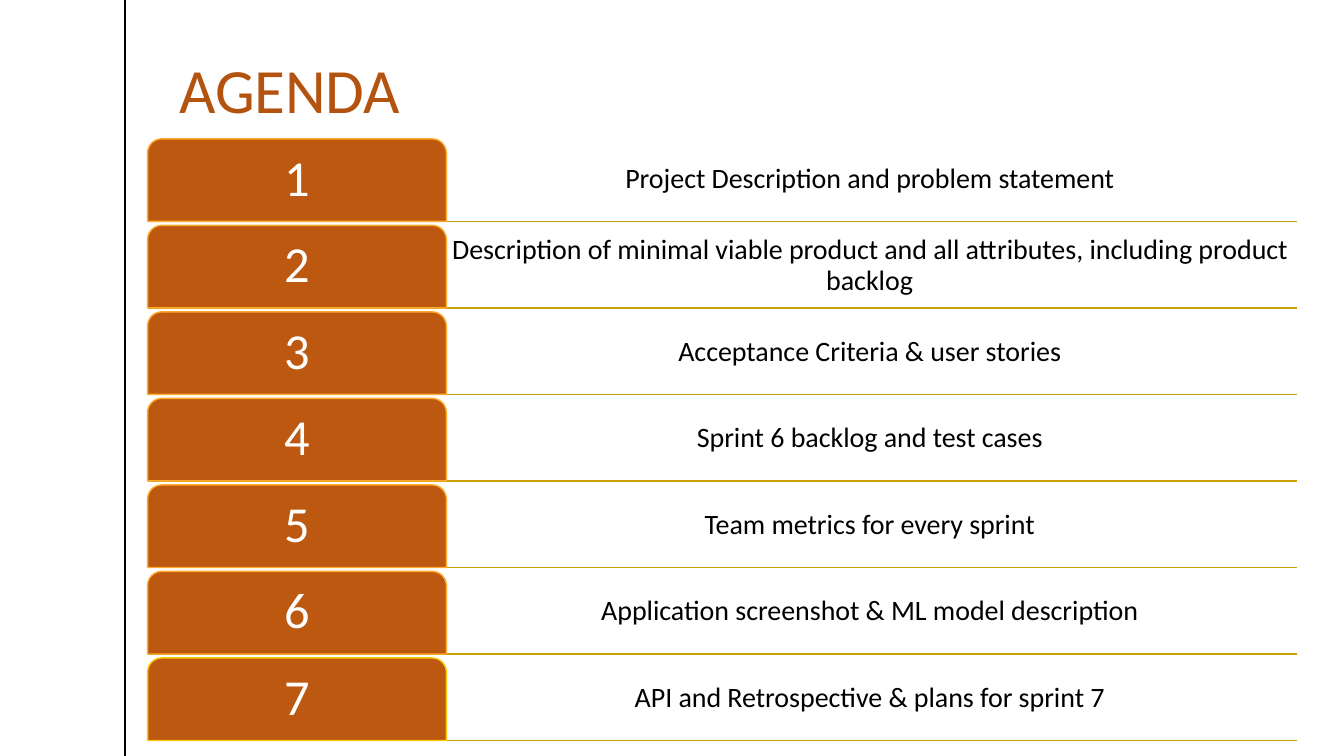
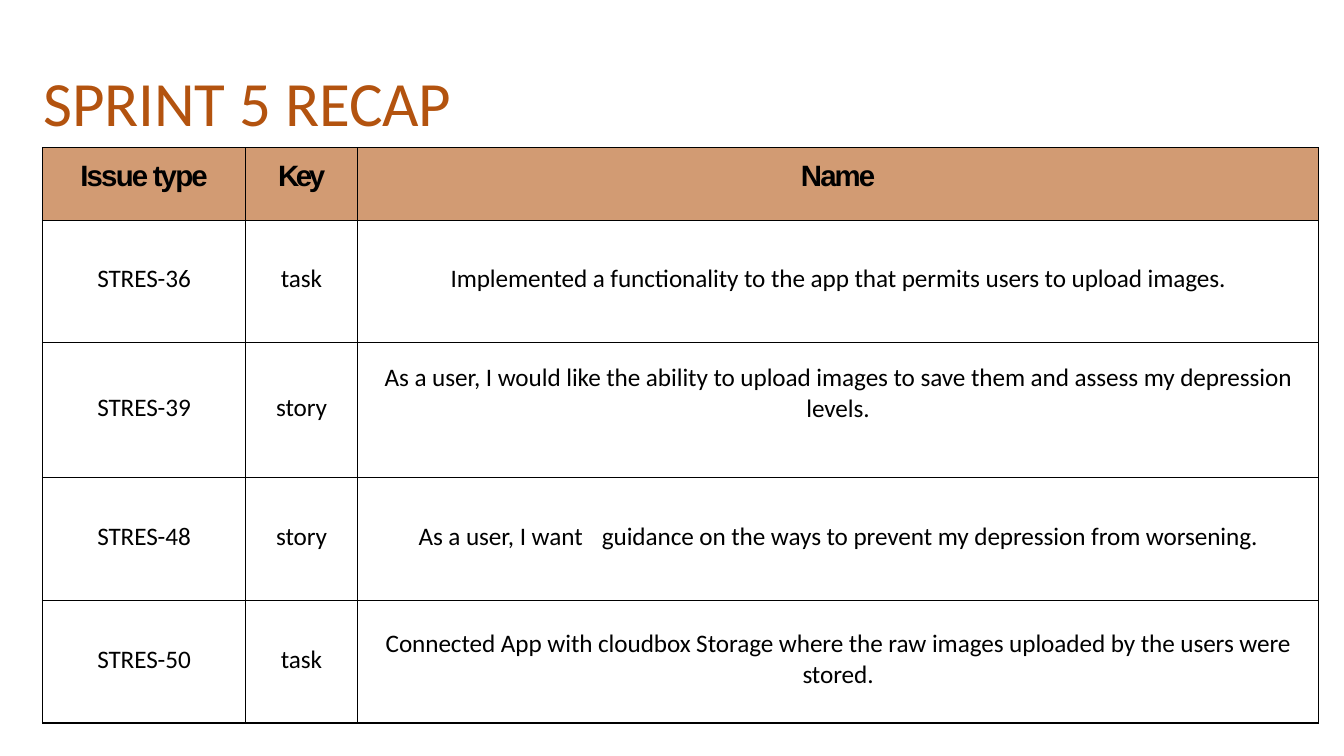
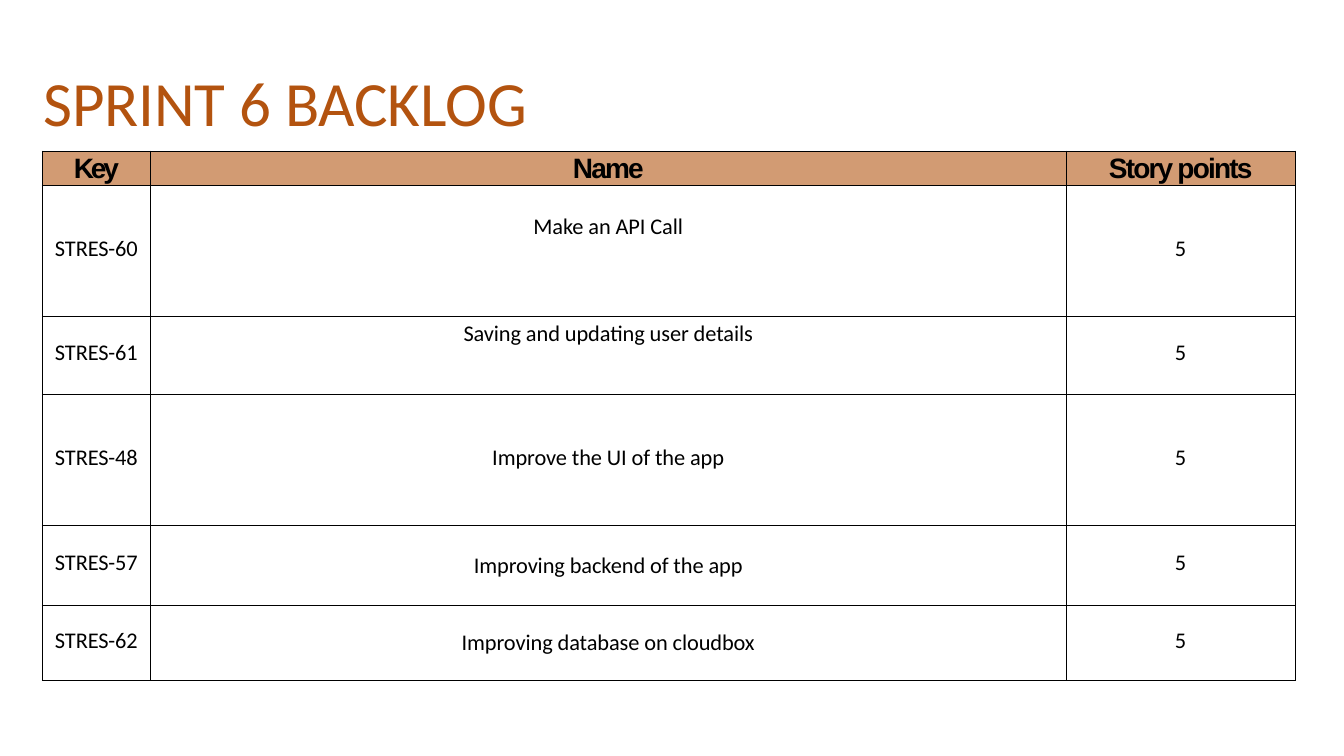
import lxml.etree
import pptx
import pptx.dml.color
import pptx.enum.shapes
import pptx.enum.text
import pptx.oxml.ns
import pptx.util

Cm = pptx.util.Cm
Pt = pptx.util.Pt
qn = pptx.oxml.ns.qn
ALIGN = pptx.enum.text.PP_ALIGN
ANCHOR = pptx.enum.text.MSO_ANCHOR

SLIDE_WIDTH, SLIDE_HEIGHT = 33.87, 19.05
BLACK, WHITE = "000000", "FFFFFF"
TITLE_COLOR = "B3530F"
TAB_FILL, TAB_LINE, LAST_TAB_LINE = "BD5810", "FFAA2D", "FFC907"
RULE_COLOR = "CAA005"
HEADER_FILL = "D29B73"

AGENDA = [
    "Project Description and problem statement",
    "Description of minimal viable product and all attributes, including product backlog",
    "Acceptance Criteria & user stories",
    "Sprint 6 backlog and test cases",
    "Team metrics for every sprint",
    "Application screenshot & ML model description",
    "API and Retrospective & plans for sprint 7",
]

RECAP = {
    "columns": [("Issue type", 5.12, -1.3), ("Key", 2.82, -2.4), ("Name", 24.22, -1.4)],
    "heights": [1.83, 3.09, 3.4, 3.09, 3.09],
    "rows": [
        ("STRES-36", "task", "Implemented a functionality to the app that permits users to upload images."),
        ("STRES-39", "story", "As a user, I would like the ability to upload images to save them "
                              "and assess my depression levels."),
        ("STRES-48", "story", "As a user, I want\tguidance on the ways to prevent my depression from worsening."),
        ("STRES-50", "task", "Connected App with cloudbox Storage where the raw images uploaded "
                             "by the users were stored."),
    ],
    "raised": {(0, 0): 0.4, (0, 1): 0.4, (0, 2): 0.4, (2, 2): 0.86},
    "header_size": 21,
    "body_size": 18,
}

BACKLOG = {
    "columns": [("Key", 2.72, -2.3), ("Name", 23.08, -1.3), ("Story points", 5.77, -1.3)],
    "heights": [0.86, 3.3, 1.98, 3.3, 2, 1.9],
    "rows": [
        ("STRES-60", "Make an API Call", "5"),
        ("STRES-61", "Saving and updating user details", "5"),
        ("STRES-48", "Improve the UI of the app", "5"),
        ("STRES-57", "Improving backend of the app", "5"),
        ("STRES-62", "Improving database on cloudbox", "5"),
    ],
    "raised": {(0, 0): 0, (0, 1): 0, (0, 2): 0, (1, 1): 1.2, (2, 1): 1.1, (4, 1): 0, (5, 1): 0},
    "header_size": 20,
    "body_size": 16,
}


def rgb(color):
    """Turn a hex string into a colour."""
    return pptx.dml.color.RGBColor.from_string(color)


def format_text(text_frame, size, color, align=ALIGN.CENTER, font="Calibri", bold=False, spacing=-0.1):
    """Format every paragraph and run of a text frame alike."""
    for paragraph in text_frame.paragraphs:
        paragraph.alignment = align
        for run in paragraph.runs:
            run.font.name = font
            run.font.size = Pt(size)
            run.font.bold = bold
            run.font.color.rgb = rgb(color)
            run._r.get_or_add_rPr().set("spc", str(round(spacing * 100)))


def set_frame(text_frame, anchor=ANCHOR.MIDDLE, bottom=0):
    """Wrap a text frame and clear its insets but the bottom one."""
    text_frame.word_wrap = True
    text_frame.vertical_anchor = anchor
    text_frame.margin_left = text_frame.margin_right = text_frame.margin_top = 0
    text_frame.margin_bottom = Cm(bottom)


def add_margin_line(slide, left):
    """Draw a vertical line over the full slide height."""
    connector = slide.shapes.add_connector(
        pptx.enum.shapes.MSO_CONNECTOR.STRAIGHT, Cm(left), 0, Cm(left), Cm(SLIDE_HEIGHT))
    connector.line.color.rgb = rgb(BLACK)
    connector.line.width = Pt(1)
    lxml.etree.SubElement(connector._element.spPr, qn("a:effectLst"))


def add_titled_slide(presentation, title, left=1.09, top=1.59):
    """Add a slide with the shared title style."""
    slide = presentation.slides.add_slide(presentation.slide_layouts[5])
    shape = slide.shapes.title
    shape.left, shape.top, shape.width, shape.height = Cm(left), Cm(top), Cm(20), Cm(1.98)
    shape.text_frame.text = title
    shape.text_frame.auto_size = pptx.enum.text.MSO_AUTO_SIZE.NONE
    set_frame(shape.text_frame, ANCHOR.TOP)
    format_text(shape.text_frame, 45, TITLE_COLOR, ALIGN.LEFT)
    return slide


def add_rules(slide, left, top, width, pitch, count):
    """Draw equally spaced horizontal rules as one outline."""
    right = Cm(left + width)
    builder = slide.shapes.build_freeform(Cm(left), Cm(top))
    builder.add_line_segments([(right, Cm(top))], close=False)
    for index in range(1, count):
        level = Cm(top + index * pitch)
        builder.move_to(Cm(left), level)
        builder.add_line_segments([(right, level)], close=False)
    rules = builder.convert_to_shape()
    rules.shadow.inherit = False
    rules.fill.background()
    rules.line.color.rgb = rgb(RULE_COLOR)
    rules.line.width = Pt(1)


def add_agenda_row(slide, number, label, left, top, width, height, tab_line):
    """Place a numbered tab and its label."""
    tab_width = 7.53
    tab = slide.shapes.add_shape(
        pptx.enum.shapes.MSO_SHAPE.ROUND_2_SAME_RECTANGLE, Cm(left), Cm(top), Cm(tab_width), Cm(height))
    tab.adjustments[0] = 0.17
    tab.shadow.inherit = False
    tab.fill.solid()
    tab.fill.fore_color.rgb = rgb(TAB_FILL)
    tab.line.color.rgb = rgb(tab_line)
    tab.line.width = Pt(1)
    tab.text_frame.text = str(number)
    set_frame(tab.text_frame, bottom=0.32)
    format_text(tab.text_frame, 36, WHITE, spacing=0)

    box = slide.shapes.add_textbox(
        Cm(left + tab_width), Cm(top), Cm(width - tab_width - 0.1), Cm(height))
    box.text_frame.text = label
    set_frame(box.text_frame, bottom=0.1)
    box.text_frame.paragraphs[0].line_spacing = Pt(22.1)
    format_text(box.text_frame, 20, BLACK, spacing=-0.07)


def add_agenda(slide, items, left, top, width, pitch):
    """Stack the agenda rows at an equal pitch over their rules."""
    height = pitch - 0.1
    add_rules(slide, left, top + height, width, pitch, len(items))
    for index, label in enumerate(items):
        tab_line = LAST_TAB_LINE if index == len(items) - 1 else TAB_LINE
        add_agenda_row(slide, index + 1, label, left, top + index * pitch, width, height, tab_line)


def set_borders(cell):
    """Give a table cell a one-point black border."""
    properties = cell._tc.get_or_add_tcPr()
    for side in ("lnL", "lnR", "lnT", "lnB"):
        line = lxml.etree.SubElement(properties, qn("a:" + side), w=str(Pt(1)))
        fill = lxml.etree.SubElement(line, qn("a:solidFill"))
        lxml.etree.SubElement(fill, qn("a:srgbClr"), val=BLACK)


def add_tab_stop(paragraph, position):
    """Add a left tab stop to a paragraph."""
    tabs = lxml.etree.SubElement(paragraph._p.get_or_add_pPr(), qn("a:tabLst"))
    lxml.etree.SubElement(tabs, qn("a:tab"), pos=str(Cm(position)), algn="l")


def fill_cell(cell, text, header, size, spacing, raised):
    """Write and style one table cell."""
    set_borders(cell)
    if header:
        cell.fill.solid()
        cell.fill.fore_color.rgb = rgb(HEADER_FILL)
    else:
        cell.fill.background()
    cell.vertical_anchor = ANCHOR.MIDDLE
    cell.margin_left = cell.margin_right = Cm(0 if header else 0.2)
    cell.margin_top, cell.margin_bottom = 0, Cm(raised)
    cell.text_frame.text = text
    if "\t" in text:
        add_tab_stop(cell.text_frame.paragraphs[0], 4.62)
    format_text(cell.text_frame, size, BLACK, font="Arial" if header else "Calibri",
                bold=header, spacing=spacing)


def add_issue_table(slide, left, top, content):
    """Place a bordered table with a tinted header row."""
    columns, heights = content["columns"], content["heights"]
    width = sum(column[1] for column in columns)
    table = slide.shapes.add_table(
        len(heights), len(columns), Cm(left), Cm(top), Cm(width), Cm(sum(heights))).table
    table.horz_banding = False
    for row, height in zip(table.rows, heights):
        row.height = Cm(height)
    rows = [[column[0] for column in columns]] + content["rows"]
    for column_index, (_, column_width, heading_spacing) in enumerate(columns):
        table.columns[column_index].width = Cm(column_width)
        for row_index, texts in enumerate(rows):
            header = row_index == 0
            fill_cell(table.cell(row_index, column_index), texts[column_index], header,
                      content["header_size"] if header else content["body_size"],
                      heading_spacing if header else -0.05,
                      content["raised"].get((row_index, column_index), 0.12))


def main():
    """Build and save the presentation."""
    presentation = pptx.Presentation()
    presentation.slide_width, presentation.slide_height = Cm(SLIDE_WIDTH), Cm(SLIDE_HEIGHT)

    agenda_slide = add_titled_slide(presentation, "AGENDA", 4.52, 1.27)
    add_margin_line(agenda_slide, 3.15)
    add_agenda(agenda_slide, AGENDA, 3.72, 3.5, 28.96, 2.18)

    recap_slide = add_titled_slide(presentation, "SPRINT 5 RECAP")
    add_issue_table(recap_slide, 1.07, 3.72, RECAP)

    backlog_slide = add_titled_slide(presentation, "SPRINT 6 BACKLOG")
    add_issue_table(backlog_slide, 1.07, 3.81, BACKLOG)

    presentation.save("out.pptx")


if __name__ == "__main__":
    main()
